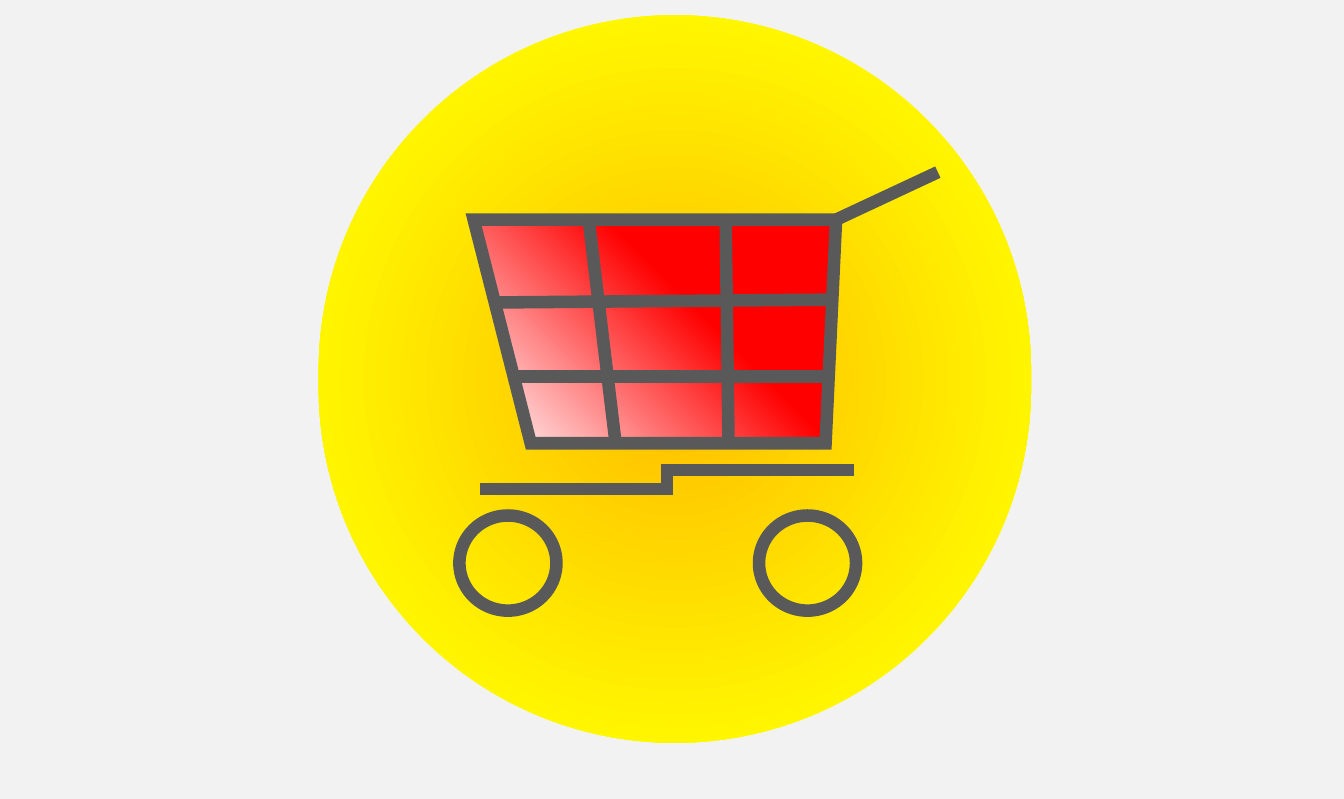
import pptx
import pptx.util
import pptx.dml.color
import pptx.enum.shapes
import pptx.oxml
import pptx.oxml.ns
from pptx.util import Inches

COLORS = {
    "background": "F2F2F2",
    "frame": "595959",
    "amber": "FFC000",
    "yellow": "FFFF00",
    "white": "FFFFFF",
    "red": "FF0000",
}
FRAME_WIDTH = 9.5
BASKET_CORNERS = [(8.79, 2.31), (8.68, 4.66), (5.58, 4.66), (4.98, 2.31)]
BASKET_BARS = [
    ((5.2, 3.18), (8.76, 3.15)),
    ((5.36, 3.96), (8.74, 3.96)),
    ((6.19, 2.32), (6.47, 4.64)),
    ((7.63, 2.37), (7.66, 4.69)),
]
HANDLE = ((8.79, 2.31), (9.86, 1.81))
CHASSIS = ((5.05, 5.14), (8.98, 4.94))
WHEEL_LEFTS = [4.83, 7.98]


def rgb(name):
    return pptx.dml.color.RGBColor.from_string(COLORS[name])


def child(parent, tag, **attributes):
    element = parent.makeelement(pptx.oxml.ns.qn(tag), attributes)
    parent.append(element)
    return element


def radial_fill(shape, stops, center):
    """Fill from a center, given as percentages from the left and top."""
    shape.fill.gradient()
    gradient = shape._element.spPr.find(pptx.oxml.ns.qn("a:gradFill"))
    for part in list(gradient):
        gradient.remove(part)
    stop_list = child(gradient, "a:gsLst")
    for percent, color in stops:
        stop = child(stop_list, "a:gs", pos=str(percent * 1000))
        child(stop, "a:srgbClr", val=COLORS[color])
    x, y = center
    circle = child(gradient, "a:path", path="circle")
    child(circle, "a:fillToRect", l=str(x * 1000), t=str(y * 1000),
          r=str((100 - x) * 1000), b=str((100 - y) * 1000))


def frame_line(shape):
    shape.line.color.rgb = rgb("frame")
    shape.line.width = pptx.util.Pt(FRAME_WIDTH)
    child(shape.line._get_or_add_ln(), "a:miter", lim="800000")


def add_bar(cart, ends, kind=pptx.enum.shapes.MSO_CONNECTOR.STRAIGHT):
    (x1, y1), (x2, y2) = ends
    bar = cart.add_connector(kind, Inches(x1), Inches(y1), Inches(x2), Inches(y2))
    frame_line(bar)
    child(bar._element.spPr, "a:effectLst")


def add_disc(cart):
    disc = cart.add_shape(
        pptx.enum.shapes.MSO_SHAPE.ROUNDED_RECTANGLE,
        Inches(3.35), Inches(0.16), Inches(7.49), Inches(7.65))
    disc.adjustments[0] = 0.5
    disc.shadow.inherit = False
    disc.line.fill.background()
    radial_fill(disc, [(5, "amber"), (83, "yellow")], (50, 50))


def add_basket(cart):
    start, *others = [(Inches(x), Inches(y)) for x, y in BASKET_CORNERS]
    outline = cart.build_freeform(*start)
    outline.add_line_segments(others, close=True)
    basket = outline.convert_to_shape()
    basket.shadow.inherit = False
    radial_fill(basket, [(0, "white"), (61, "red")], (0, 100))
    frame_line(basket)


def add_wheel(cart, left):
    wheel = cart.add_shape(
        pptx.enum.shapes.MSO_SHAPE.OVAL,
        Inches(left), Inches(5.42), Inches(1.02), Inches(1))
    wheel.shadow.inherit = False
    wheel.fill.background()
    frame_line(wheel)


def main():
    presentation = pptx.Presentation()
    presentation.slide_width = Inches(14.13)
    presentation.slide_height = Inches(8.4)
    slide = presentation.slides.add_slide(presentation.slide_layouts[6])
    slide.background.fill.solid()
    slide.background.fill.fore_color.rgb = rgb("background")
    cart = slide.shapes.add_group_shape().shapes

    # Disc and basket
    add_disc(cart)
    add_basket(cart)
    for ends in BASKET_BARS:
        add_bar(cart, ends)

    # Wheels, chassis and handle
    for left in WHEEL_LEFTS:
        add_wheel(cart, left)
    add_bar(cart, CHASSIS, pptx.enum.shapes.MSO_CONNECTOR.ELBOW)
    add_bar(cart, HANDLE)

    presentation.save("out.pptx")


if __name__ == "__main__":
    main()
